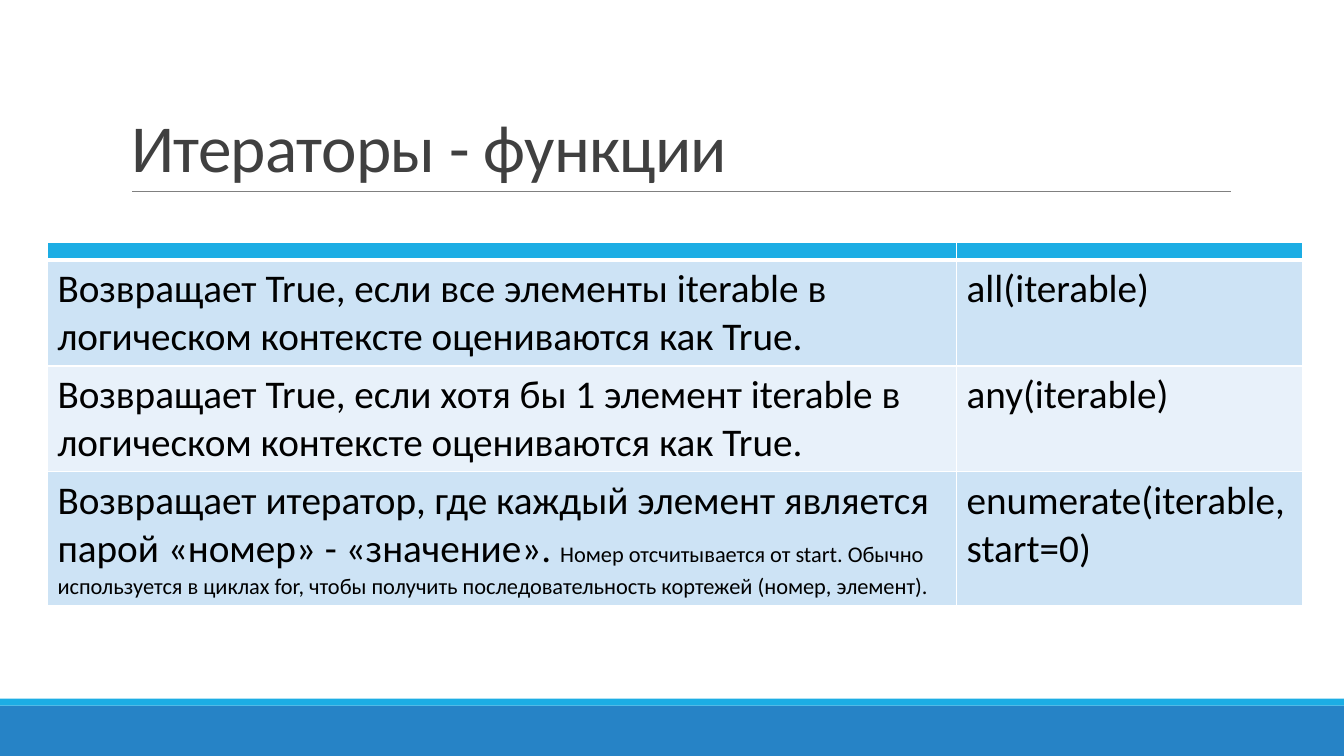
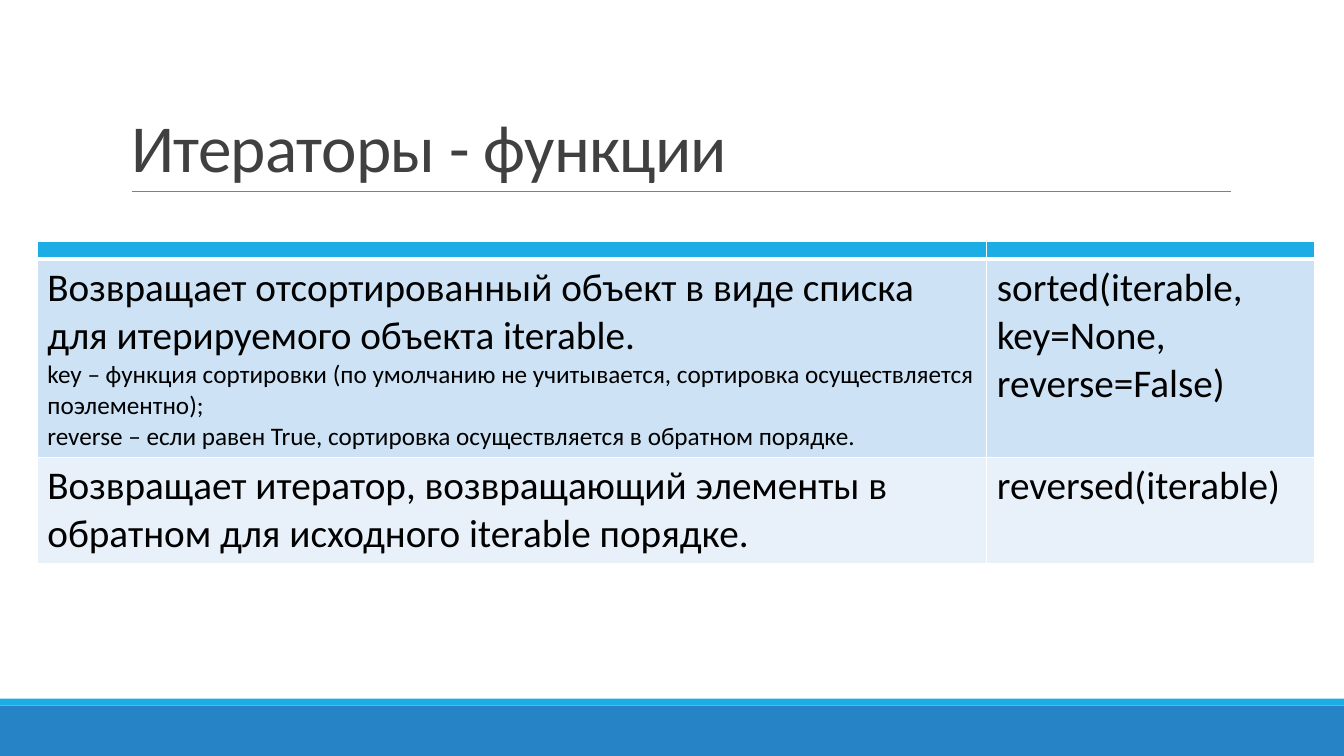
from lxml.etree import SubElement
from pptx import Presentation
from pptx.dml.color import RGBColor
from pptx.enum.shapes import MSO_CONNECTOR, MSO_SHAPE
from pptx.enum.text import MSO_ANCHOR, MSO_AUTO_SIZE, PP_ALIGN
from pptx.oxml.ns import qn
from pptx.util import Inches, Pt

SLIDE_WIDTH = Inches(13.333)
SLIDE_HEIGHT = Inches(7.5)
FONT = "Calibri"
COLORS = {
    "footer": "2683C6",
    "accent": "1CADE4",
    "rule": "808080",
    "title": "404040",
    "text": "000000",
    "border": "FFFFFF",
    "odd_row": "CDE3F5",
    "even_row": "E8F1FA",
}
TITLE = "Итераторы - функции"
TITLE_BOX = (9, 4.13, 82.5, 21.2)
BANDS = [("footer", (0, 93.33, 100, 6.67)), ("accent", (0, 92.4, 100, 0.93))]
HEADER_ROWS = 2.4

TABLES = [
    {
        "origin": (3.53, 32),
        "columns": [67.65, 25.73],
        "rows": [14, 14, 17.47],
        "cells": [
            [
                [[("Возвращает True, если все элементы iterable в логическом контексте оцениваются как True.", 28)]],
                [[("all(iterable)", 28)]],
            ],
            [
                [[("Возвращает True, если хотя бы 1 элемент iterable в логическом контексте оцениваются как True.", 28)]],
                [[("any(iterable)", 28)]],
            ],
            [
                [[
                    ("Возвращает итератор, где каждый элемент является парой «номер» - «значение». ", 28),
                    ("Номер отсчитывается от start. Обычно используется в циклах for, "
                     "чтобы получить последовательность кортежей (номер, элемент).", 16),
                ]],
                [[("enumerate(iterable, start=0)", 28)]],
            ],
        ],
    },
    {
        "origin": (2.78, 31.87),
        "columns": [70.65, 24.38],
        "rows": [26.13, 14],
        "cells": [
            [
                [
                    [("Возвращает отсортированный объект в виде списка для итерируемого объекта iterable.", 28)],
                    [("key – функция сортировки (по умолчанию не учитывается, "
                      "сортировка осуществляется поэлементно);", 18)],
                    [("reverse – если равен True, сортировка осуществляется в обратном порядке.", 18)],
                ],
                [[("sorted(iterable, key=None, reverse=False)", 28)]],
            ],
            [
                [[("Возвращает итератор, возвращающий элементы в обратном для исходного iterable порядке.", 28)]],
                [[("reversed(iterable)", 28)]],
            ],
        ],
    },
]


def across(percent):
    return round(SLIDE_WIDTH * percent / 100)


def down(percent):
    return round(SLIDE_HEIGHT * percent / 100)


def place(box):
    left, top, width, height = box
    return across(left), down(top), across(width), down(height)


def color(name):
    return RGBColor.from_string(COLORS[name])


def style_run(run, size, color_name):
    run.font.name = FONT
    run.font.size = Pt(size)
    run.font.color.rgb = color(color_name)


def add_bands(slide):
    for color_name, box in BANDS:
        band = slide.shapes.add_shape(MSO_SHAPE.RECTANGLE, *place(box))
        band.shadow.inherit = False
        band.fill.solid()
        band.fill.fore_color.rgb = color(color_name)
        band.line.fill.background()


def add_rule(slide, left, right, top):
    rule = slide.shapes.add_connector(
        MSO_CONNECTOR.STRAIGHT, across(left), down(top), across(right), down(top)
    )
    rule.line.color.rgb = color("rule")
    rule.line.width = Pt(0.5)
    SubElement(rule.element.spPr, qn("a:effectLst"))


def set_title(slide, text, box):
    title = slide.shapes.title
    title.left, title.top, title.width, title.height = place(box)
    frame = title.text_frame
    frame.text = text
    frame.word_wrap = True
    frame.auto_size = MSO_AUTO_SIZE.NONE
    frame.vertical_anchor = MSO_ANCHOR.BOTTOM
    paragraph = frame.paragraphs[0]
    paragraph.alignment = PP_ALIGN.LEFT
    paragraph.line_spacing = 0.85
    run = paragraph.runs[0]
    style_run(run, 48, "title")
    run.font.element.set("spc", "-50") if hasattr(run.font, "element") else run.text and \
        paragraph.runs[0].font._element.set("spc", "-50") if hasattr(run.font, "_element") else \
        paragraph._p.find(qn("a:r")).find(qn("a:rPr")).set("spc", "-50")


def style_cell(cell, fill_name, top=1, bottom=1):
    properties = cell._tc.get_or_add_tcPr()
    for side, width in (("L", 1), ("R", 1), ("T", top), ("B", bottom)):
        line = SubElement(properties, qn(f"a:ln{side}"), w=str(Pt(width)))
        fill = SubElement(line, qn("a:solidFill"))
        SubElement(fill, qn("a:srgbClr"), val=COLORS["border"])
    cell.fill.solid()
    cell.fill.fore_color.rgb = color(fill_name)


def fill_cell(cell, paragraphs):
    frame = cell.text_frame
    for index, runs in enumerate(paragraphs):
        paragraph = frame.add_paragraph() if index else frame.paragraphs[0]
        for text, size in runs:
            run = paragraph.add_run()
            run.text = text
            style_run(run, size, "text")


def style_header(cell):
    cell.margin_top = cell.margin_bottom = 0
    style_cell(cell, "accent", bottom=3)
    paragraph = cell.text_frame.paragraphs[0]
    SubElement(paragraph._p, qn("a:endParaRPr"), sz="800")


def add_function_table(slide, origin, columns, rows, cells):
    heights = [HEADER_ROWS, *rows]
    box = (*origin, sum(columns), sum(heights))
    table = slide.shapes.add_table(len(heights), len(columns), *place(box)).table
    for column, width in zip(table.columns, columns):
        column.width = across(width)
    for row, height in zip(table.rows, heights):
        row.height = down(height)
    for cell in table.rows[0].cells:
        style_header(cell)
    for row_index, contents in enumerate(cells, start=1):
        fill_name = "odd_row" if row_index % 2 else "even_row"
        for column_index, paragraphs in enumerate(contents):
            cell = table.cell(row_index, column_index)
            style_cell(cell, fill_name, top=3 if row_index == 1 else 1)
            fill_cell(cell, paragraphs)


def add_function_slide(presentation, table):
    slide = presentation.slides.add_slide(presentation.slide_layouts[5])
    add_bands(slide)
    add_rule(slide, 9.83, 91.58, 25.33)
    set_title(slide, TITLE, TITLE_BOX)
    add_function_table(slide, **table)


def main():
    presentation = Presentation()
    presentation.slide_width = SLIDE_WIDTH
    presentation.slide_height = SLIDE_HEIGHT
    for table in TABLES:
        add_function_slide(presentation, table)
    presentation.save("out.pptx")


if __name__ == "__main__":
    main()
